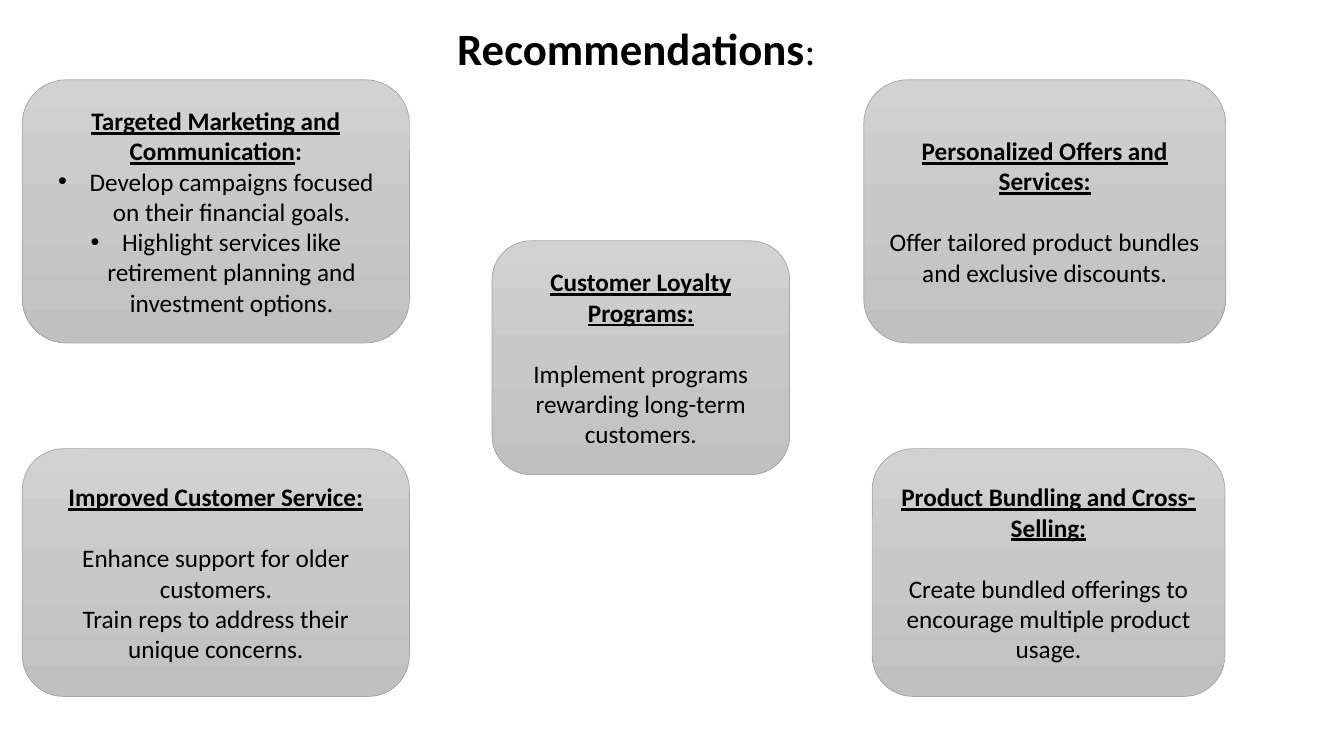
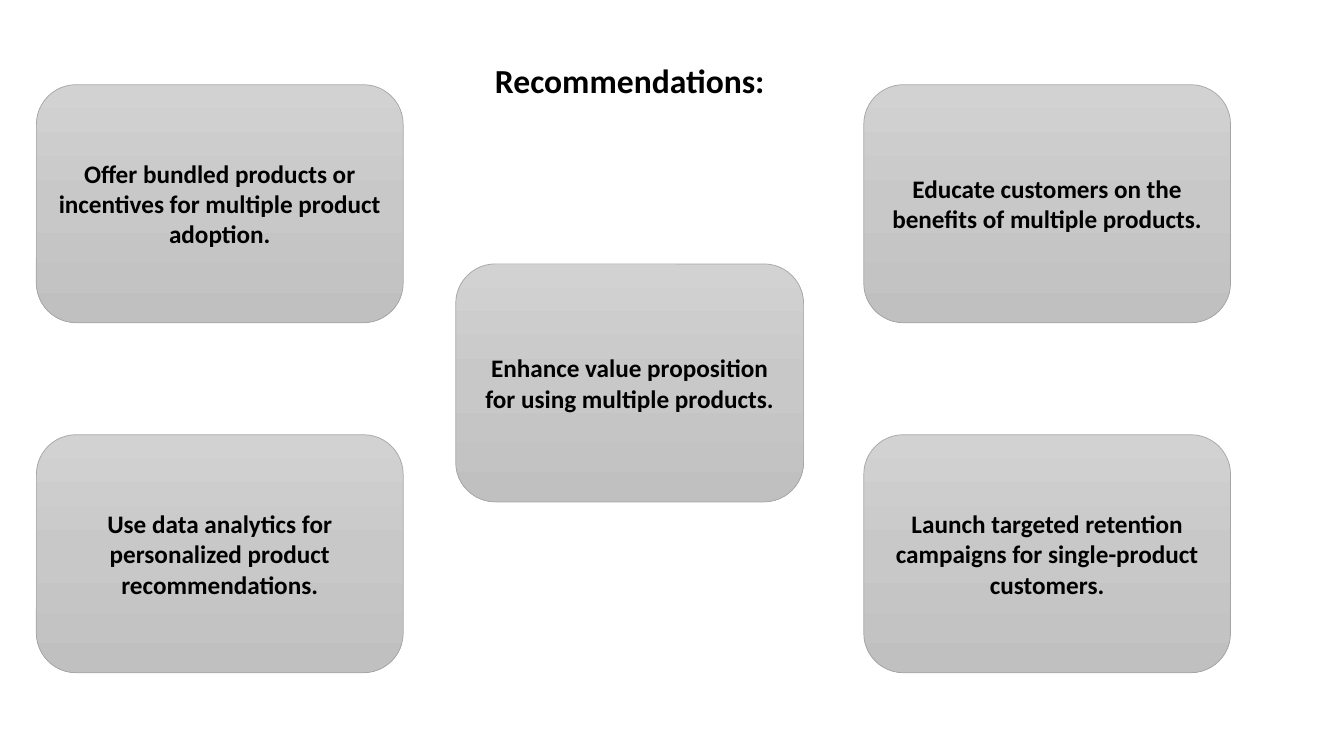
from copy import deepcopy
from dataclasses import dataclass

from lxml.etree import SubElement
from pptx import Presentation
from pptx.dml.color import RGBColor
from pptx.enum.shapes import MSO_SHAPE
from pptx.enum.text import MSO_ANCHOR, MSO_AUTO_SIZE, PP_ALIGN
from pptx.oxml.ns import qn
from pptx.util import Pt


@dataclass(frozen=True)
class Theme:
    font: str = "Calibri"
    ink: str = "000000"
    edge: str = "A5A5A5"
    shades: tuple[str, ...] = ("D2D2D2", "C8C8C8", "C0C0C0")
    body: float = 18
    title: float = 32
    colon: float = 28
    small: float = 24
    gap: float = 22
    indent: float = 22.5


THEME = Theme()


@dataclass(frozen=True)
class Box:
    left: float
    top: float
    width: float
    height: float


@dataclass(frozen=True)
class Span:
    text: str
    size: float = THEME.body
    bold: bool = False
    under: bool = False


@dataclass(frozen=True)
class Line:
    span: Span
    tail: Span | None = None
    bullet: bool = False
    after: float = 0


@dataclass(frozen=True)
class Card:
    box: Box
    lines: tuple[Line, ...]


@dataclass(frozen=True)
class Page:
    box: Box
    title: Line
    cards: tuple[Card, ...]


def place(box: Box) -> tuple:
    return Pt(box.left), Pt(box.top), Pt(box.width), Pt(box.height)


def style(run, span: Span) -> None:
    font = run.font
    font.name, font.size = THEME.font, Pt(span.size)
    font.bold, font.underline = span.bold, span.under
    font.color.rgb = RGBColor.from_string(THEME.ink)


def mark(para) -> None:
    """Give a paragraph a round bullet with a hanging indent."""
    props = para._p.get_or_add_pPr()
    props.set("marL", str(Pt(THEME.indent)))
    props.set("indent", str(-Pt(THEME.indent)))
    SubElement(props, qn("a:buFont")).set("typeface", "Arial")
    SubElement(props, qn("a:buChar")).set("char", "•")


def write(frame, lines: tuple[Line, ...], align: PP_ALIGN) -> None:
    frame.word_wrap = True
    frame.text = "\n".join(line.span.text for line in lines)
    for para, line in zip(frame.paragraphs, lines):
        para.alignment = align
        style(para.runs[0], line.span)
        if line.tail:
            run = para.add_run()
            run.text = line.tail.text
            style(run, line.tail)
        if line.after:
            para.space_after = Pt(line.after)
        if line.bullet:
            mark(para)


def shade(shape) -> None:
    """Fill a shape with the three-stop vertical gradient."""
    fill = shape.fill
    fill.gradient()
    fill.gradient_angle = 270
    stops = shape.element.spPr.find(f"{qn('a:gradFill')}/{qn('a:gsLst')}")
    stops.insert(1, deepcopy(stops[0]))
    for stop, tone, spot in zip(fill.gradient_stops, THEME.shades, (0, 0.5, 1)):
        stop.color.rgb = RGBColor.from_string(tone)
        stop.position = spot


def draw_card(slide, card: Card) -> None:
    shape = slide.shapes.add_shape(MSO_SHAPE.ROUNDED_RECTANGLE, *place(card.box))
    shape.shadow.inherit = False
    shade(shape)
    shape.line.color.rgb = RGBColor.from_string(THEME.edge)
    shape.line.width = Pt(0.5)
    shape.text_frame.vertical_anchor = MSO_ANCHOR.MIDDLE
    write(shape.text_frame, card.lines, PP_ALIGN.CENTER)


def draw_page(deck, page: Page) -> None:
    slide = deck.slides.add_slide(deck.slide_layouts[6])
    for card in page.cards:
        draw_card(slide, card)
    frame = slide.shapes.add_textbox(*place(page.box)).text_frame
    write(frame, (page.title,), PP_ALIGN.LEFT)
    frame.auto_size = MSO_AUTO_SIZE.SHAPE_TO_FIT_TEXT


def topic(box: Box, head: str, *body: str) -> Card:
    """Card with an underlined heading set apart from plain text."""
    first = Line(Span(head, bold=True, under=True), after=THEME.gap)
    return Card(box, (first, *(Line(Span(text)) for text in body)))


def claim(box: Box, text: str) -> Card:
    """Card with one bold statement."""
    return Card(box, (Line(Span(text, bold=True)),))


LEFT, WIDE = 16, 276.5
HIGH, TALL = 57, 188
LOW, SHORT = 320.5, 177

TARGET = Card(
    Box(LEFT, HIGH, WIDE, TALL),
    (
        Line(
            Span("Targeted Marketing and Communication", bold=True, under=True),
            tail=Span(":", bold=True),
        ),
        Line(Span("Develop campaigns focused on their financial goals."), bullet=True),
        Line(
            Span("Highlight services like retirement planning and investment options."),
            bullet=True,
        ),
    ),
)

TOPICS = Page(
    Box(319.5, 11, WIDE, 46),
    Line(
        Span("Recommendations", THEME.title, bold=True),
        tail=Span(":", THEME.colon),
    ),
    (
        TARGET,
        topic(
            Box(617, HIGH, 258.5, TALL),
            "Personalized Offers and Services:",
            "Offer tailored product bundles and exclusive discounts.",
        ),
        topic(
            Box(LEFT, LOW, WIDE, SHORT),
            "Improved Customer Service:",
            "Enhance support for older customers.",
            "Train reps to address their unique concerns.",
        ),
        topic(
            Box(623, LOW, 252, SHORT),
            "Product Bundling and Cross-Selling:",
            "Create bundled offerings to encourage multiple product usage.",
        ),
        topic(
            Box(351.5, 172, 212.5, 167),
            "Customer Loyalty Programs:",
            "Implement programs rewarding long-term customers.",
        ),
    ),
)

SIZE = (262, 170)
CORNERS = [Box(left, top, *SIZE) for top in (60.5, 310.5) for left in (26, 617)]
CLAIMS = (
    "Offer bundled products or incentives for multiple product adoption.",
    "Educate customers on the benefits of multiple products.",
    "Use data analytics for personalized product recommendations.",
    "Launch targeted retention campaigns for single-product customers.",
)

ACTIONS = Page(
    Box(346.5, 39, 227, 36),
    Line(Span("Recommendations:", THEME.small, bold=True)),
    (
        *(claim(box, text) for box, text in zip(CORNERS, CLAIMS)),
        claim(
            Box(325.5, 188.5, 248.5, 170),
            "Enhance value proposition for using multiple products.",
        ),
    ),
)


def main() -> None:
    deck = Presentation()
    deck.slide_width, deck.slide_height = Pt(960), Pt(540)
    for page in (TOPICS, ACTIONS):
        draw_page(deck, page)
    deck.save("out.pptx")


if __name__ == "__main__":
    main()
